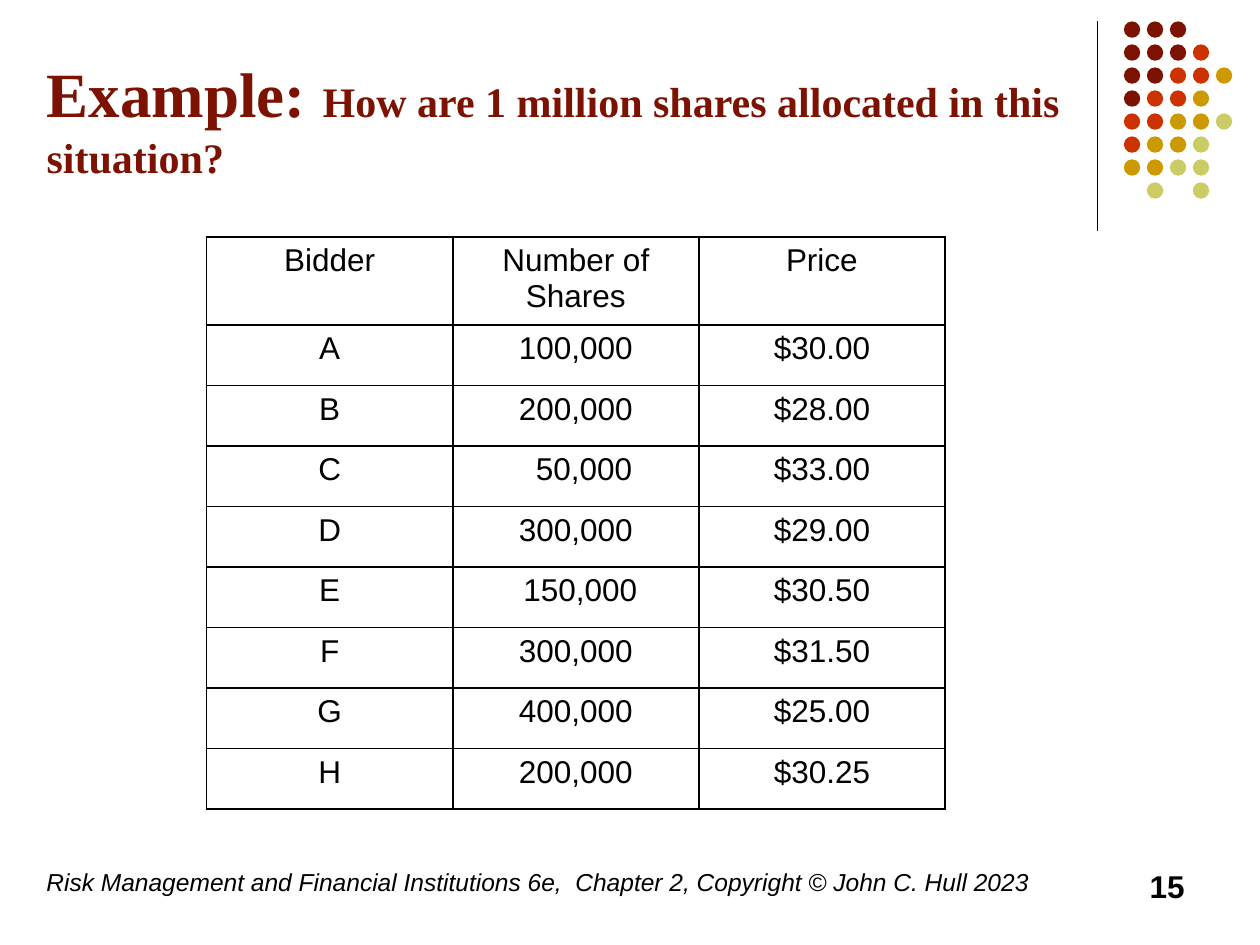
"""Build the share auction example slide with its bidder table."""
from lxml.etree import SubElement
from pptx import Presentation
from pptx.dml.color import RGBColor as RGB
from pptx.enum.shapes import MSO_CONNECTOR as CONNECTOR, MSO_SHAPE as SHAPE
from pptx.enum.text import MSO_ANCHOR as ANCHOR, MSO_AUTO_SIZE as AUTOSIZE, PP_ALIGN as ALIGN
from pptx.oxml.ns import qn
from pptx.util import Inches, Pt

COLORS = {"black": "000000", "maroon": "7C1302", "red": "CC3300",
          "gold": "CC9900", "olive": "CCCC66"}


def style(run, size, font="Arial", color="black", bold=False, italic=False):
    run.font.name, run.font.size = font, Pt(size)
    run.font.bold, run.font.italic = bold, italic
    run.font.color.rgb = RGB.from_string(COLORS[color])


prs = Presentation()
prs.slide_width, prs.slide_height = Inches(10), Inches(7.5)
slide = prs.slides.add_slide(prs.slide_layouts[5])

divider = slide.shapes.add_connector(
    CONNECTOR.STRAIGHT, Inches(8.71), Inches(0.17), Inches(8.71), Inches(1.83))
divider.line.color.rgb = RGB.from_string(COLORS["black"])
divider.line.width = Pt(0.75)
SubElement(divider._element.spPr, qn("a:effectLst"))

DOT_ROWS = ["mmm", "mmmr", "mmrrg", "mrrg", "rrggo", "rggo", "ggoo", " o o"]
DOT_COLORS = {"m": "maroon", "r": "red", "g": "gold", "o": "olive"}
DOT_PITCH, DOT_SIZE = Inches(7.3 / 40), Inches(0.13)
dots = slide.shapes.add_group_shape()
for row, letters in enumerate(DOT_ROWS):
    for column, letter in enumerate(letters):
        if letter == " ":
            continue
        dot = dots.shapes.add_shape(
            SHAPE.OVAL, Inches(8.92) + column * DOT_PITCH,
            Inches(0.17) + row * DOT_PITCH, DOT_SIZE, DOT_SIZE)
        dot.shadow.inherit = False
        dot.fill.solid()
        dot.fill.fore_color.rgb = RGB.from_string(COLORS[DOT_COLORS[letter]])
        dot.line.fill.background()

title = slide.shapes.title
title.left, title.top, title.width, title.height = map(Inches, (0.27, 0.47, 8.5, 1.02))
heading = title.text_frame
heading.word_wrap, heading.auto_size = True, AUTOSIZE.NONE
heading.vertical_anchor = ANCHOR.BOTTOM
heading.paragraphs[0].alignment = ALIGN.LEFT
for words, size in [("Example:", 36), (" ", 39),
                    ("How are 1 million shares allocated in this situation?", 24)]:
    part = heading.paragraphs[0].add_run()
    part.text = words
    style(part, size, "Times New Roman", "maroon", bold=True)

FOOTERS = [
    ("Risk Management and Financial Institutions 6e,  Chapter 2, "
     "Copyright © John C. Hull 2023", 0.27, 8.27, ALIGN.LEFT, 14, False, True),
    ("15", 7.17, 2.33, ALIGN.RIGHT, 18, True, False),
]
for words, left, width, align, size, bold, italic in FOOTERS:
    footer = slide.shapes.add_textbox(
        Inches(left), Inches(6.83), Inches(width), Inches(0.5)).text_frame
    footer.word_wrap = True
    footer.text = words
    footer.paragraphs[0].alignment = align
    style(footer.paragraphs[0].runs[0], size, bold=bold, italic=italic)

BIDS = [
    ("Bidder", "Number of Shares", "Price"),
    ("A", "100,000", "$30.00"),
    ("B", "200,000", "$28.00"),
    ("C", "50,000", "$33.00"),
    ("D", "300,000", "$29.00"),
    ("E", "150,000", "$30.50"),
    ("F", "300,000", "$31.50"),
    ("G", "400,000", "$25.00"),
    ("H", "200,000", "$30.25"),
]
SHARE_INDENTS = {("C", 1): 0.13, ("E", 1): 0.07}
HEADER_HEIGHT, BID_HEIGHT = 0.7, 0.48
bid_table = slide.shapes.add_table(
    len(BIDS), 3, Inches(1.64), Inches(1.88), Inches(5.86),
    Inches(HEADER_HEIGHT + BID_HEIGHT * (len(BIDS) - 1))).table
bid_table.first_row = bid_table.horz_banding = False
for row, bid in enumerate(BIDS):
    bid_table.rows[row].height = Inches(BID_HEIGHT if row else HEADER_HEIGHT)
    for column, words in enumerate(bid):
        cell = bid_table.cell(row, column)
        cell.text_frame.text = words
        cell.margin_left = Inches(0.1 + SHARE_INDENTS.get((bid[0], column), 0))
        cell.text_frame.paragraphs[0].alignment = ALIGN.CENTER
        style(cell.text_frame.paragraphs[0].runs[0], 18)
        properties = cell._tc.get_or_add_tcPr()
        for side in ("a:lnL", "a:lnR", "a:lnT", "a:lnB"):
            border = SubElement(properties, qn(side), w=str(Pt(1)))
            SubElement(SubElement(border, qn("a:solidFill")), qn("a:srgbClr"),
                       val=COLORS["black"])
        cell.fill.background()

prs.save("out.pptx")
